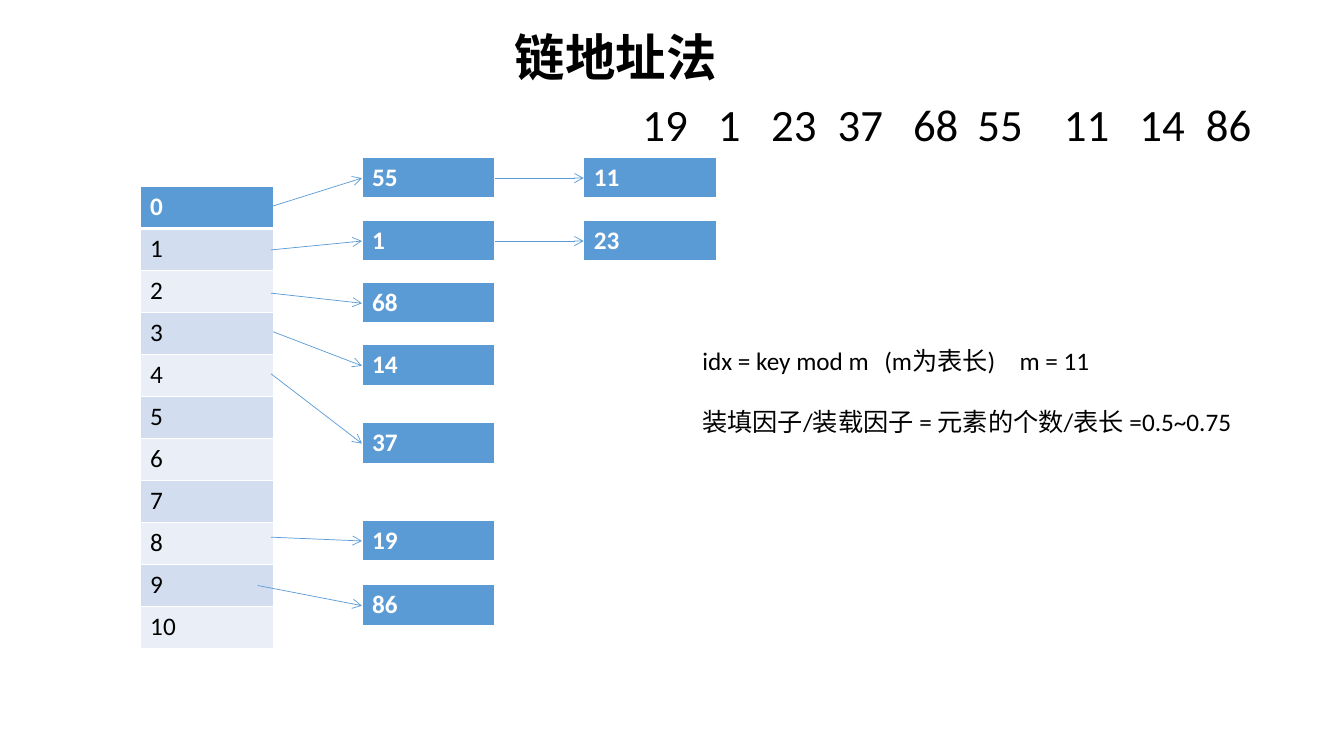
"""Build a slide that shows a hash table with separate chaining."""
import pptx
import pptx.dml.color
import pptx.enum.shapes
import pptx.oxml.ns
import pptx.util
from lxml import etree

COLORS = {"blue": "5B9BD5", "odd": "D2DEEF", "even": "EAEFF7",
          "white": "FFFFFF", "black": "000000"}
FONT = "Calibri"
GRID_LEFT, GRID_TOP = 1.39, 1.85
COLUMN, ROW = 2.2, 0.4167
CELL_WIDTH = 0.6
BUCKET_COUNT = 11

# chain top in rows, arrow start (columns, rows), keys
CHAINS = [
    (-0.7, (0.59, 0.48), ["55", "11"]),
    (0.8, (0.59, 1.51), ["1", "23"]),
    (2.28, (0.59, 2.54), ["68"]),
    (3.77, (0.6, 3.46), ["14"]),
    (5.62, (0.59, 4.46), ["37"]),
    (7.94, (0.59, 8.35), ["19"]),
    (9.48, (0.53, 9.5), ["86"]),
]
KEYS = "19\t1\t23\t37\t68\t55\t11\t14\t86"
KEY_TABS = [0.34, 0.58, 0.88, 1.22, 1.51, 1.9, 2.24, 2.54]
FORMULA = "idx = key mod m\t(m为表长)\tm = 11"
FORMULA_TABS = [0.82, 1.43]
LOAD_FACTOR = "装填因子/装载因子 = 元素的个数/表长 =0.5~0.75"


def columns(count):
    return pptx.util.Inches(count * COLUMN)


def rows(count):
    return pptx.util.Inches(count * ROW)


def position(column, row):
    return (pptx.util.Inches(GRID_LEFT) + columns(column),
            pptx.util.Inches(GRID_TOP) + rows(row))


def rgb(name):
    return pptx.dml.color.RGBColor.from_string(COLORS[name])


def add_element(parent, tag, **attributes):
    return etree.SubElement(parent, pptx.oxml.ns.qn(tag), attributes)


def style_paragraph(para, size, color="black", bold=False):
    for span in para.runs:
        span.font.name = FONT
        span.font.size = pptx.util.Pt(size)
        span.font.bold = bold
        span.font.color.rgb = rgb(color)


def add_border(cell, side, points):
    width = str(pptx.util.Pt(points))
    line = add_element(cell._tc.get_or_add_tcPr(), f"a:ln{side}", w=width)
    fill = add_element(line, "a:solidFill")
    add_element(fill, "a:srgbClr", val=COLORS["white"])


def add_cells(page, column, row, labels):
    """Add a one-column table whose first cell is a header."""
    frame = page.shapes.add_table(len(labels), 1, *position(column, row),
                                  columns(CELL_WIDTH), rows(len(labels)))
    for index, label in enumerate(labels):
        header = index == 0
        cell = frame.table.cell(index, 0)
        cell.text_frame.text = label
        style_paragraph(cell.text_frame.paragraphs[0], 18,
                        "white" if header else "black", header)
        for side in "LRTB" if header else "LRB":
            add_border(cell, side, 3 if header and side == "B" else 1)
        cell.fill.solid()
        shade = "odd" if index % 2 else "even"
        cell.fill.fore_color.rgb = rgb("blue" if header else shade)
    return frame


def add_arrow(page, start, target, source=None):
    """Add an arrow to the left side of target, from a point or a source."""
    arrow = page.shapes.add_connector(
        pptx.enum.shapes.MSO_CONNECTOR.STRAIGHT, *start, *start)
    if source is not None:
        arrow.begin_connect(source, 3)
    arrow.end_connect(target, 1)
    arrow.line.color.rgb = rgb("blue")
    arrow.line.width = pptx.util.Pt(0.5)
    add_element(arrow.line._get_or_add_ln(), "a:tailEnd", type="arrow")
    add_element(arrow._element.spPr, "a:effectLst")


def add_chain(page, top, start, keys):
    source, begin = None, position(*start)
    for column, key in enumerate(keys, 1):
        node = add_cells(page, column, top, [key])
        add_arrow(page, begin, node, source)
        source, begin = node, (node.left, node.top)


def add_text(page, place, size, lines, points, bold=False, tabs=()):
    """Add a text box; tab stops apply to its first paragraph."""
    box = page.shapes.add_textbox(*position(*place), columns(size[0]), rows(size[1]))
    frame = box.text_frame
    frame.word_wrap = True
    frame.text = "\n".join(lines)
    for para in frame.paragraphs:
        style_paragraph(para, points, bold=bold)
    if tabs:
        stops = add_element(frame.paragraphs[0]._p.get_or_add_pPr(), "a:tabLst")
        for stop in tabs:
            add_element(stops, "a:tab", pos=str(columns(stop)), algn="l")
    return frame


def main():
    deck = pptx.Presentation()
    deck.slide_width = pptx.util.Inches(13.33)
    deck.slide_height = pptx.util.Inches(7.5)
    page = deck.slides.add_slide(deck.slide_layouts[6])

    add_cells(page, 0, 0, [str(index) for index in range(BUCKET_COUNT)])
    for top, start, keys in CHAINS:
        add_chain(page, top, start, keys)

    notes = add_text(page, (2.49, 3.67), (2.5, 3.86), [FORMULA, LOAD_FACTOR],
                     18, tabs=FORMULA_TABS)
    notes.paragraphs[1].space_before = pptx.util.Pt(22)
    title = add_text(page, (0.63, -3.94), (3.2, 1.7), ["链地址法"], 36, bold=True)
    title.margin_left = columns(1.06)
    add_text(page, (2.22, -2.26), (3.17, 1.54), [KEYS], 32, tabs=KEY_TABS)

    deck.save("out.pptx")


if __name__ == "__main__":
    main()
